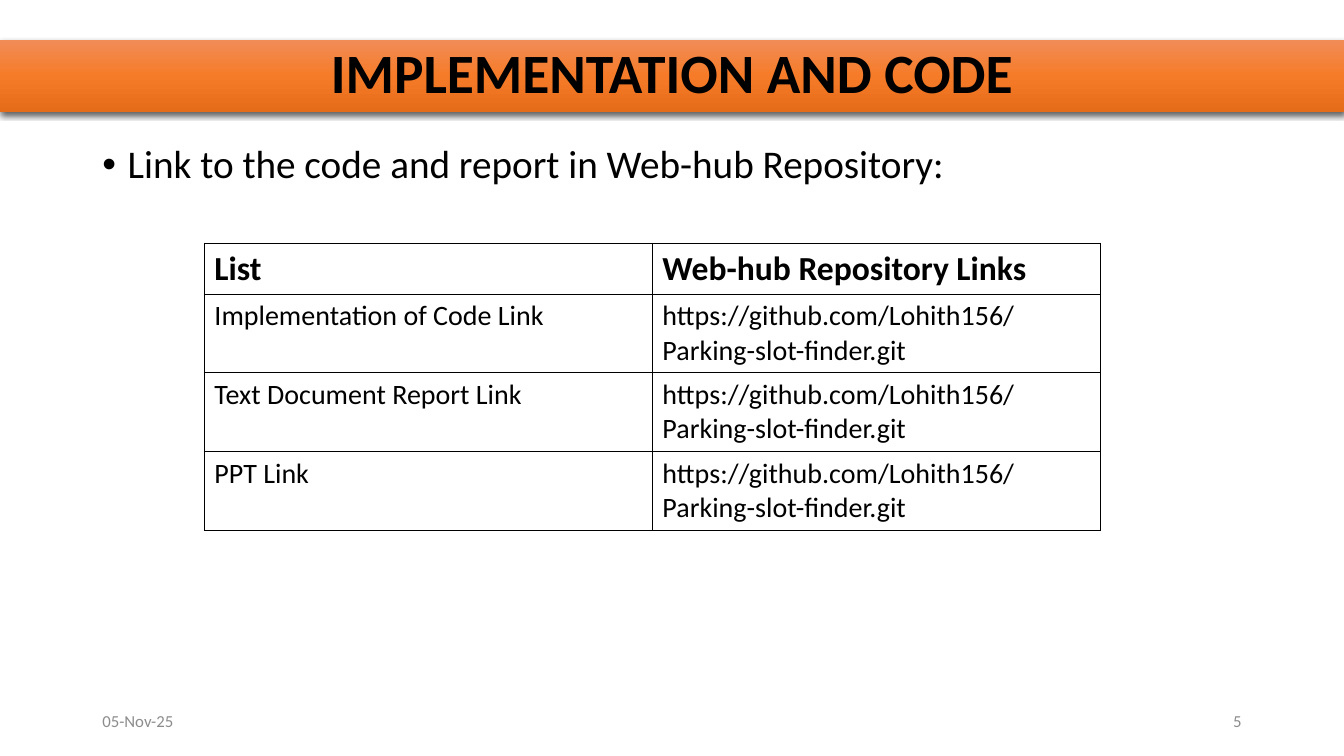
from lxml import etree
from pptx import Presentation
from pptx.dml.color import RGBColor
from pptx.enum.text import MSO_ANCHOR, MSO_AUTO_SIZE, PP_ALIGN
from pptx.oxml import parse_xml
from pptx.oxml.ns import nsdecls, qn
from pptx.util import Pt

LEFT, CENTER, RIGHT = PP_ALIGN.LEFT, PP_ALIGN.CENTER, PP_ALIGN.RIGHT
TOP, MIDDLE = MSO_ANCHOR.TOP, MSO_ANCHOR.MIDDLE
NO_AUTOFIT = MSO_AUTO_SIZE.NONE

BLACK = RGBColor(0x00, 0x00, 0x00)
GREY = RGBColor(0x8C, 0x8C, 0x8C)
ORANGE_LIGHT = RGBColor(0xF1, 0x8C, 0x57)
ORANGE = RGBColor(0xF6, 0x7B, 0x28)
ORANGE_DARK = RGBColor(0xE5, 0x6C, 0x19)
FONT = "Calibri"

REPOSITORY = "https://github.com/Lohith156/Parking-slot-finder.git"
LINK_ROWS = [
    ("List", "Web-hub Repository Links"),
    ("Implementation of Code Link", REPOSITORY),
    ("Text Document Report Link", REPOSITORY),
    ("PPT Link", REPOSITORY),
]


def write_text(text_frame, text, size, color=BLACK, bold=False, align=LEFT,
               anchor=TOP, line_spacing=None, bullet=None):
    text_frame.word_wrap = True
    text_frame.vertical_anchor = anchor
    paragraph = text_frame.paragraphs[0]
    paragraph.text = text
    paragraph.alignment = align
    paragraph.space_before = Pt(0)
    if line_spacing:
        paragraph.line_spacing = line_spacing
    if bullet:
        properties = paragraph._p.get_or_add_pPr()
        properties.set("marL", str(Pt(18)))
        properties.set("indent", str(Pt(-18)))
        etree.SubElement(properties, qn("a:buFont")).set("typeface", "Arial")
        etree.SubElement(properties, qn("a:buChar")).set("char", bullet)
    font = paragraph.runs[0].font
    font.name, font.size, font.bold = FONT, Pt(size), bold
    font.color.rgb = color


def place(shape, left, top, width, height):
    shape.left, shape.top = Pt(left), Pt(top)
    shape.width, shape.height = Pt(width), Pt(height)


def style_banner(shape):
    """Give the shape a vertical orange gradient and a soft shadow below."""
    stops = "".join(
        f'<a:gs pos="{position * 1000}"><a:srgbClr val="{color}"/></a:gs>'
        for position, color in ((0, ORANGE_LIGHT), (50, ORANGE), (100, ORANGE_DARK)))
    properties = shape._element.spPr
    properties.append(parse_xml(
        f'<a:gradFill {nsdecls("a")} rotWithShape="1"><a:gsLst>{stops}</a:gsLst>'
        '<a:lin ang="5400000" scaled="0"/></a:gradFill>'))
    properties.append(parse_xml(
        f'<a:effectLst {nsdecls("a")}><a:outerShdw blurRad="{Pt(4.5)}" '
        f'dist="{Pt(1.5)}" dir="5400000" algn="ctr" rotWithShape="0">'
        f'<a:srgbClr val="{BLACK}"><a:alpha val="63000"/></a:srgbClr>'
        '</a:outerShdw></a:effectLst>'))


def add_title(slide, text, left, top, width, height):
    title = slide.shapes.title
    place(title, left, top, width, height)
    style_banner(title)
    title.text_frame.auto_size = NO_AUTOFIT
    write_text(title.text_frame, text, 39.6, bold=True, align=CENTER,
               anchor=MIDDLE, line_spacing=0.9)


def add_body(slide, text, left, top, width, height):
    body = slide.placeholders[1]
    place(body, left, top, width, height)
    body.text_frame.auto_size = NO_AUTOFIT
    write_text(body.text_frame, text, 28, line_spacing=0.9, bullet="•")


def add_footer(slide, date, number, left, top, width, height):
    """Put the date at the left end of the box and the number at the right."""
    part_width = 216
    for text, part_left, align in ((date, left, LEFT),
                                   (number, left + width - part_width, RIGHT)):
        box = slide.shapes.add_textbox(Pt(part_left), Pt(top), Pt(part_width), Pt(height))
        write_text(box.text_frame, text, 12, color=GREY, align=align, anchor=MIDDLE)


def add_borders(cell):
    properties = cell._tc.get_or_add_tcPr()
    for index, side in enumerate(("lnL", "lnR", "lnT", "lnB")):
        properties.insert(index, parse_xml(
            f'<a:{side} {nsdecls("a")} w="{Pt(1)}"><a:solidFill>'
            f'<a:srgbClr val="{BLACK}"/></a:solidFill></a:{side}>'))


def add_link_table(slide, rows, left, top, width, header_height, row_height):
    height = header_height + row_height * (len(rows) - 1)
    table = slide.shapes.add_table(len(rows), len(rows[0]), Pt(left), Pt(top),
                                   Pt(width), Pt(height)).table
    table.horz_banding = False
    for row_index, texts in enumerate(rows):
        header = row_index == 0
        table.rows[row_index].height = Pt(header_height if header else row_height)
        for column_index, text in enumerate(texts):
            cell = table.cell(row_index, column_index)
            cell.fill.background()
            add_borders(cell)
            write_text(cell.text_frame, text, 24 if header else 20, bold=header)


def main():
    presentation = Presentation()
    presentation.slide_width, presentation.slide_height = Pt(960), Pt(540)
    slide = presentation.slides.add_slide(presentation.slide_layouts[1])
    add_title(slide, "IMPLEMENTATION AND CODE", 0, 28.8, 960, 51)
    add_body(slide, "Link to the code and report in Web-hub Repository:",
             66, 100, 828, 387)
    add_footer(slide, "05-Nov-25", "5", 66, 500.5, 828, 28.75)
    add_link_table(slide, LINK_ROWS, 146, 173.75, 640, 36.4, 56.2)
    presentation.save("out.pptx")


if __name__ == "__main__":
    main()
